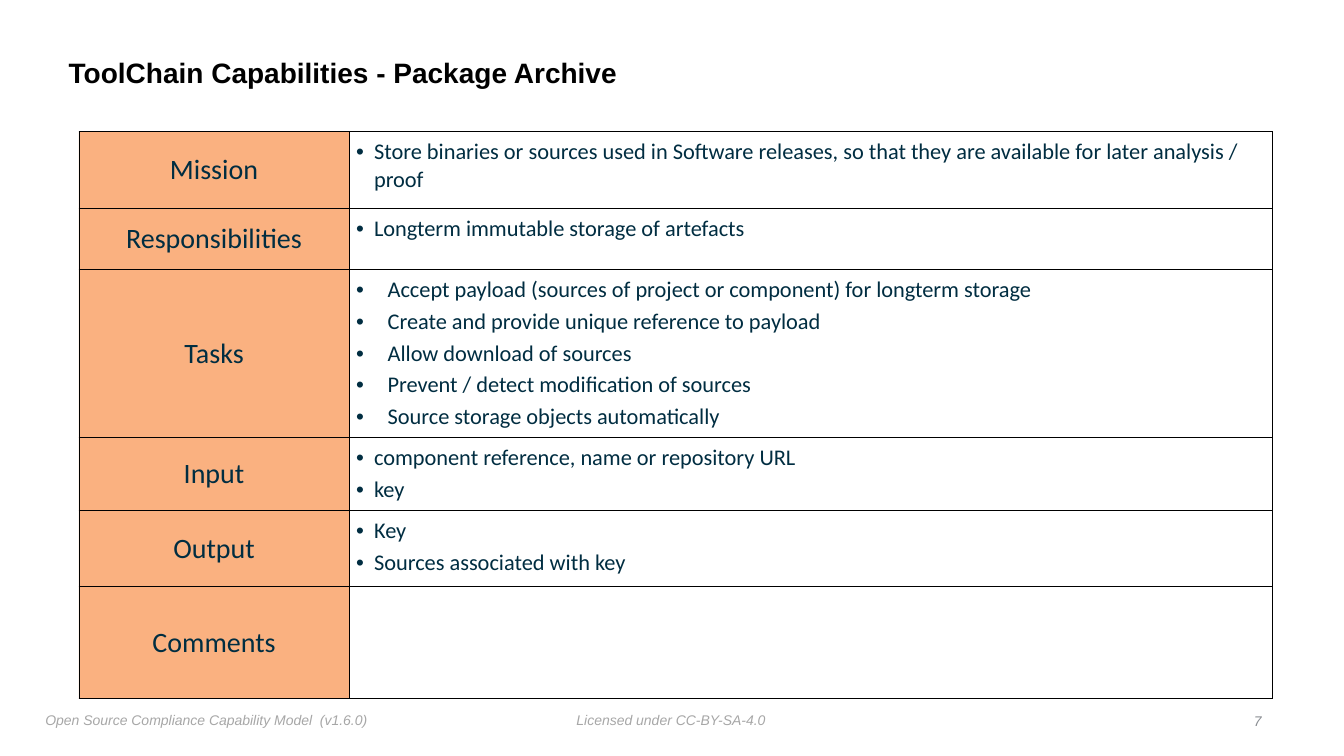
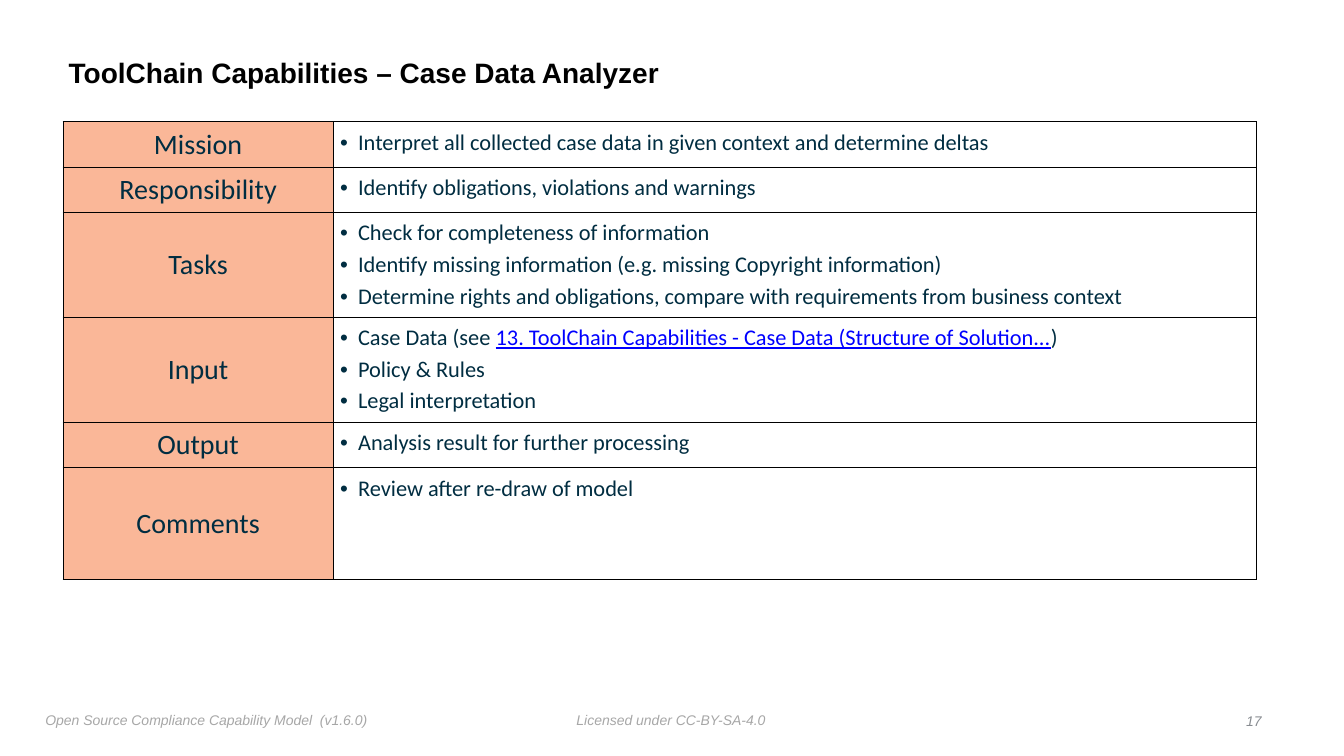
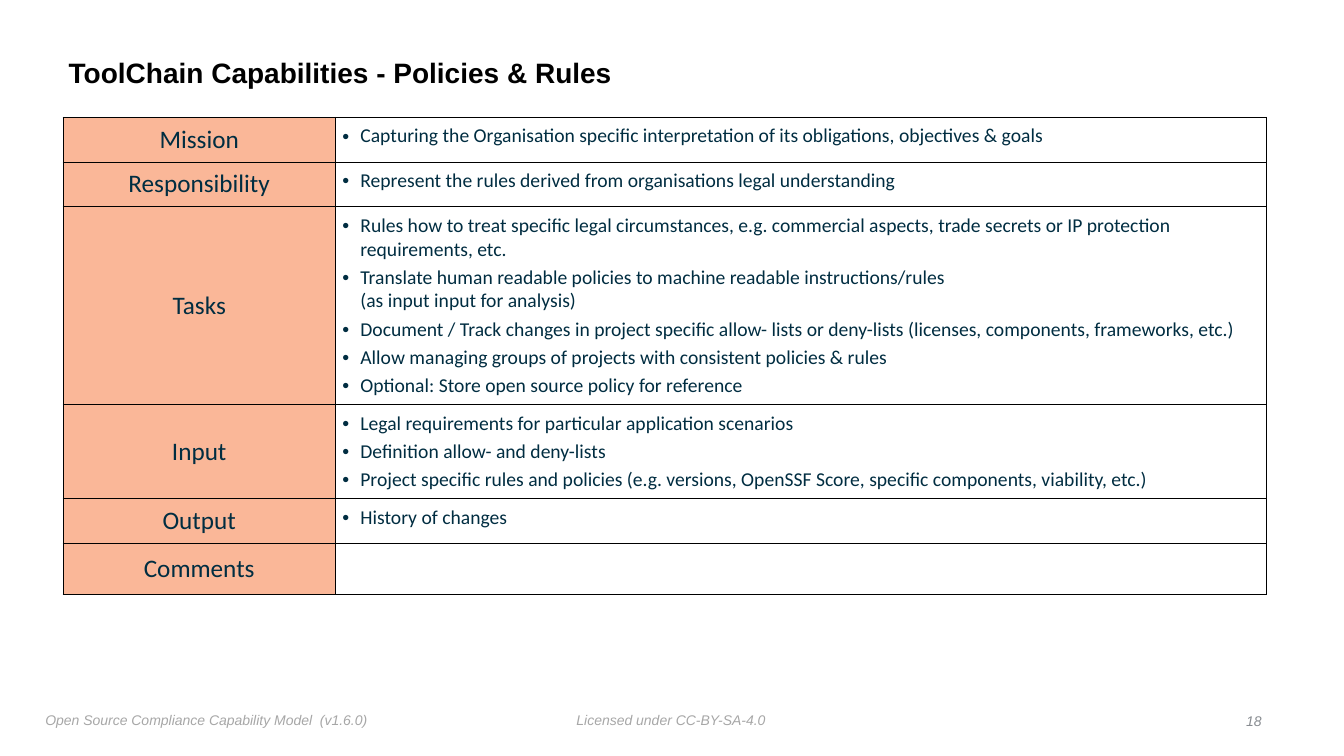
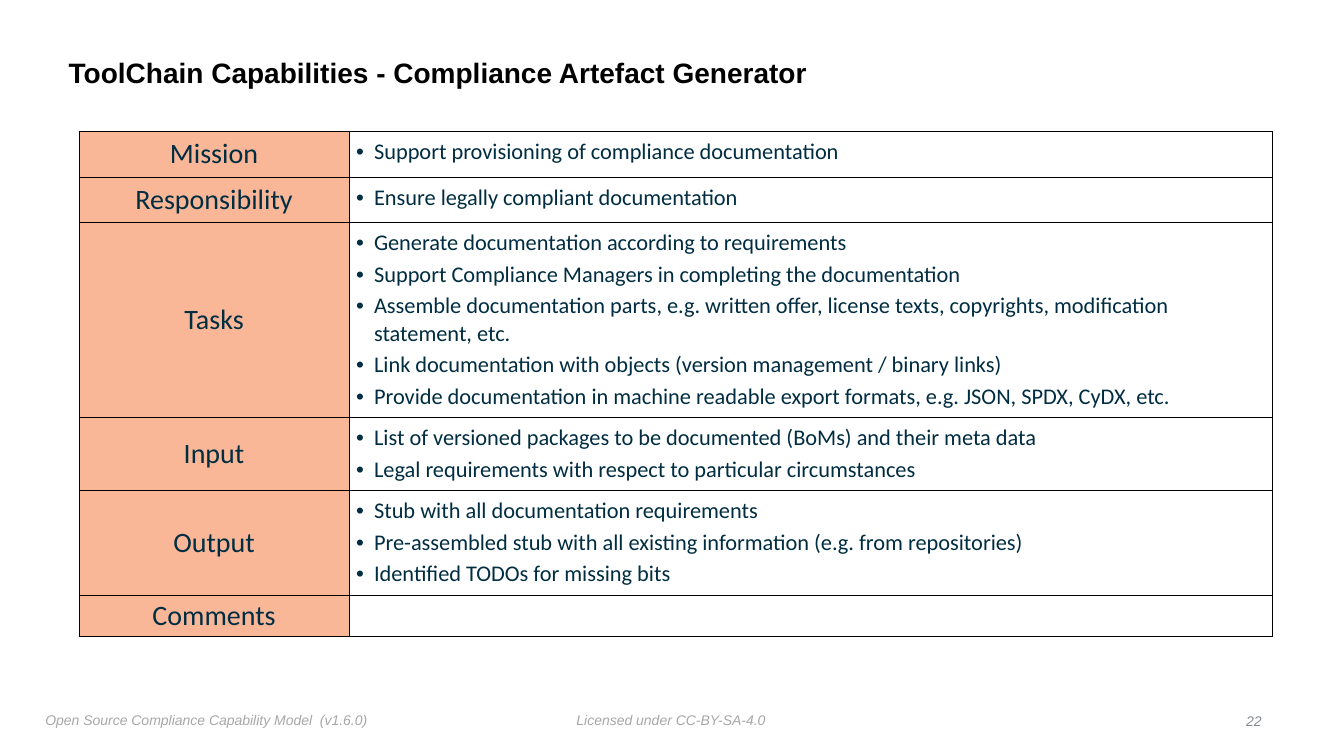
"""Build four toolchain capability slides, each with a title, a table and footers."""
from lxml import etree
from pptx import Presentation
from pptx.dml.color import RGBColor
from pptx.enum import text
from pptx.oxml import parse_xml
from pptx.oxml.ns import nsdecls, qn
from pptx.util import Pt

COLORS = {"title": "000000", "footer": "A7A7A7", "page": "888C91", "body": "002D41",
          "link": "0000FF", "border": "000000", "orange": "F66503", "peach": "FAB798"}
TITLE = {"name": "Arial", "size": Pt(20), "bold": True}
FOOTER = {"name": "Arial", "size": Pt(10), "italic": True}
LINK = "13. ToolChain Capabilities - Case Data (Structure of Solution..."
LEFT, RIGHT, CENTER = text.PP_ALIGN.LEFT, text.PP_ALIGN.RIGHT, text.PP_ALIGN.CENTER
TOP, MIDDLE = text.MSO_ANCHOR.TOP, text.MSO_ANCHOR.MIDDLE

SLIDES = [
    {"title": "ToolChain Capabilities - Package Archive", "page": "7",
     "at": (56.4, 94), "cols": (193, 659.5), "sizes": (20, 16),
     "fill": "orange", "alpha": 50, "indents": {"Tasks": 22.5},
     "rows": [
         ("Mission", 55, ["Store binaries or sources used in Software releases, so that they are "
                          "available for later analysis / proof"]),
         ("Responsibilities", 43.6, ["Longterm immutable storage of artefacts"]),
         ("Tasks", 120, ["Accept payload (sources of project or component) for longterm storage",
                         "Create and provide unique reference to payload",
                         "Allow download of sources",
                         "Prevent / detect modification of sources",
                         "Source storage objects automatically"]),
         ("Input", 52.1, ["component reference, name or repository URL", "key"]),
         ("Output", 54.4, ["Key", "Sources associated with key"]),
         ("Comments", 80, [])]},
    {"title": "ToolChain Capabilities – Case Data Analyzer", "page": "17",
     "at": (45, 87), "cols": (193, 659.5), "sizes": (20, 16), "fill": "peach",
     "rows": [
         ("Mission", 32.4, ["Interpret all collected case data in given context and determine deltas"]),
         ("Responsibility", 32.4, ["Identify obligations, violations and warnings"]),
         ("Tasks", 75, ["Check for completeness of information",
                        "Identify missing information (e.g. missing Copyright information)",
                        "Determine rights and obligations, compare with requirements from "
                        "business context"]),
         ("Input", 75, [("Case Data (see ", LINK, ")"), "Policy & Rules", "Legal interpretation"]),
         ("Output", 32.4, ["Analysis result for further processing"]),
         ("Comments", 80, ["Review after re-draw of model"])]},
    {"title": "ToolChain Capabilities - Policies & Rules", "page": "18",
     "at": (45, 83.8), "cols": (194.6, 664.8), "sizes": (18, 14), "fill": "peach",
     "rows": [
         ("Mission", 31.9, ["Capturing the Organisation specific interpretation of its obligations, "
                            "objectives & goals"]),
         ("Responsibility", 31.9, ["Represent the rules derived from organisations legal understanding"]),
         ("Tasks", 141.3, ["Rules how to treat specific legal circumstances, e.g. commercial aspects, "
                           "trade secrets or IP protection requirements, etc.",
                           "Translate human readable policies to machine readable instructions/rules "
                           "\n(as input input for analysis)",
                           "Document / Track changes in project specific allow- lists or deny-lists "
                           "(licenses, components, frameworks, etc.)",
                           "Allow managing groups of projects with consistent policies & rules",
                           "Optional: Store open source policy for reference"]),
         ("Input", 67.2, ["Legal requirements for particular application scenarios",
                          "Definition allow- and deny-lists",
                          "Project specific rules and policies (e.g. versions, OpenSSF Score, "
                          "specific components, viability, etc.)"]),
         ("Output", 31.9, ["History of changes"]),
         ("Comments", 36.6, [])]},
    {"title": "ToolChain Capabilities - Compliance Artefact Generator", "page": "22",
     "at": (56.4, 94), "cols": (193, 659.5), "sizes": (20, 16), "fill": "peach",
     "rows": [
         ("Mission", 32.4, ["Support provisioning of compliance documentation"]),
         ("Responsibility", 32.4, ["Ensure legally compliant documentation"]),
         ("Tasks", 139.3, ["Generate documentation according to requirements",
                           "Support Compliance Managers in completing the documentation",
                           "Assemble documentation parts, e.g. written offer, license texts, "
                           "copyrights, modification statement, etc.",
                           "Link documentation with objects (version management / binary links)",
                           "Provide documentation in machine readable export formats, e.g. JSON, "
                           "SPDX, CyDX, etc."]),
         ("Input", 52.1, ["List of versioned packages to be documented (BoMs) and their meta data",
                          "Legal requirements with respect to particular circumstances"]),
         ("Output", 75, ["Stub with all documentation requirements",
                         "Pre-assembled stub with all existing information (e.g. from repositories)",
                         "Identified TODOs for missing bits"]),
         ("Comments", 29.3, [])]},
]


def style(r, color, formats):
    """Apply font formats and a named colour to a run."""
    for key, value in formats.items():
        setattr(r.font, key, value)
    r.font.color.rgb = RGBColor.from_string(COLORS[color])


def set_margins(frame, size):
    """Give a text frame or a cell equal margins."""
    for side in ("left", "right", "top", "bottom"):
        setattr(frame, f"margin_{side}", Pt(size))


prs = Presentation()
prs.slide_width, prs.slide_height = Pt(960), Pt(540)

for spec_ in SLIDES:
    s = prs.slides.add_slide(prs.slide_layouts[6])

    for words, box, color, formats, align, anchor, wrap in (
            ("Licensed under CC-BY-SA-4.0", (408.2, 504.7, 143.3, 18), "footer", FOOTER, LEFT, TOP, False),
            ("Open Source Compliance Capability Model  (v1.6.0)", (28.8, 504.7, 239, 19.4),
             "footer", FOOTER, LEFT, TOP, False),
            (spec_["title"], (45.4, 28, 774, 46.8), "title", TITLE, LEFT, MIDDLE, True),
            (spec_["page"], (864.7, 506.2, 40, 18), "page", FOOTER, RIGHT, MIDDLE, True)):
        tf = s.shapes.add_textbox(*map(Pt, box)).text_frame
        tf.word_wrap, tf.vertical_anchor = wrap, anchor
        set_margins(tf, 3.6)
        p = tf.paragraphs[0]
        p.alignment = align
        r = p.add_run()
        r.text = words
        style(r, color, formats)

    rows, cols = spec_["rows"], spec_["cols"]
    size = sum(cols), sum(height for _, height, _ in rows)
    table = s.shapes.add_table(len(rows), 2, *map(Pt, spec_["at"] + size)).table
    table.first_row = table.horz_banding = False
    for column, width in zip(table.columns, cols):
        column.width = Pt(width)
    label_font, item_font = ({"name": "Calibri", "size": Pt(n)} for n in spec_["sizes"])

    for row, (name, height, items) in zip(table.rows, rows):
        row.height = Pt(height)
        label, body = row.cells
        for cell in (label, body):
            for side in "LRTB":
                cell._tc.get_or_add_tcPr().append(parse_xml(
                    f'<a:ln{side} {nsdecls("a")} w="{Pt(0.5)}"><a:solidFill>'
                    f'<a:srgbClr val="{COLORS["border"]}"/></a:solidFill></a:ln{side}>'))

        label.fill.solid()
        label.fill.fore_color.rgb = RGBColor.from_string(COLORS[spec_["fill"]])
        if "alpha" in spec_:
            clr = label._tc.tcPr.find(".//" + qn("a:solidFill") + "[last()]")
            clr = label._tc.tcPr.find(qn("a:solidFill"))[0]
            etree.SubElement(clr, qn("a:alpha"), val=str(spec_["alpha"] * 1000))
        label.vertical_anchor = MIDDLE
        set_margins(label, 0)
        p = label.text_frame.paragraphs[0]
        p.alignment = CENTER
        r = p.add_run()
        r.text = name
        style(r, "body", label_font)

        body.fill.background()
        if items:
            set_margins(body, 5)
        indent = Pt(spec_.get("indents", {}).get(name, 12.8))
        tf = body.text_frame
        for i, item in enumerate(items):
            p = tf.add_paragraph() if i else tf.paragraphs[0]
            pPr = p._p.get_or_add_pPr()
            pPr.set("marL", str(indent))
            pPr.set("indent", str(-indent))
            etree.SubElement(pPr, qn("a:buFont"), typeface="Arial")
            etree.SubElement(pPr, qn("a:buChar"), char="•")
            p.space_before = Pt(3 if i else 0)
            first, *others = item if isinstance(item, tuple) else (item,)
            p.text = first
            for words in others:
                p.add_run().text = words
            for r in p.runs:
                linked = r.text == LINK
                style(r, "link" if linked else "body", item_font)
                if linked:
                    r.font.underline = True

prs.save("out.pptx")
